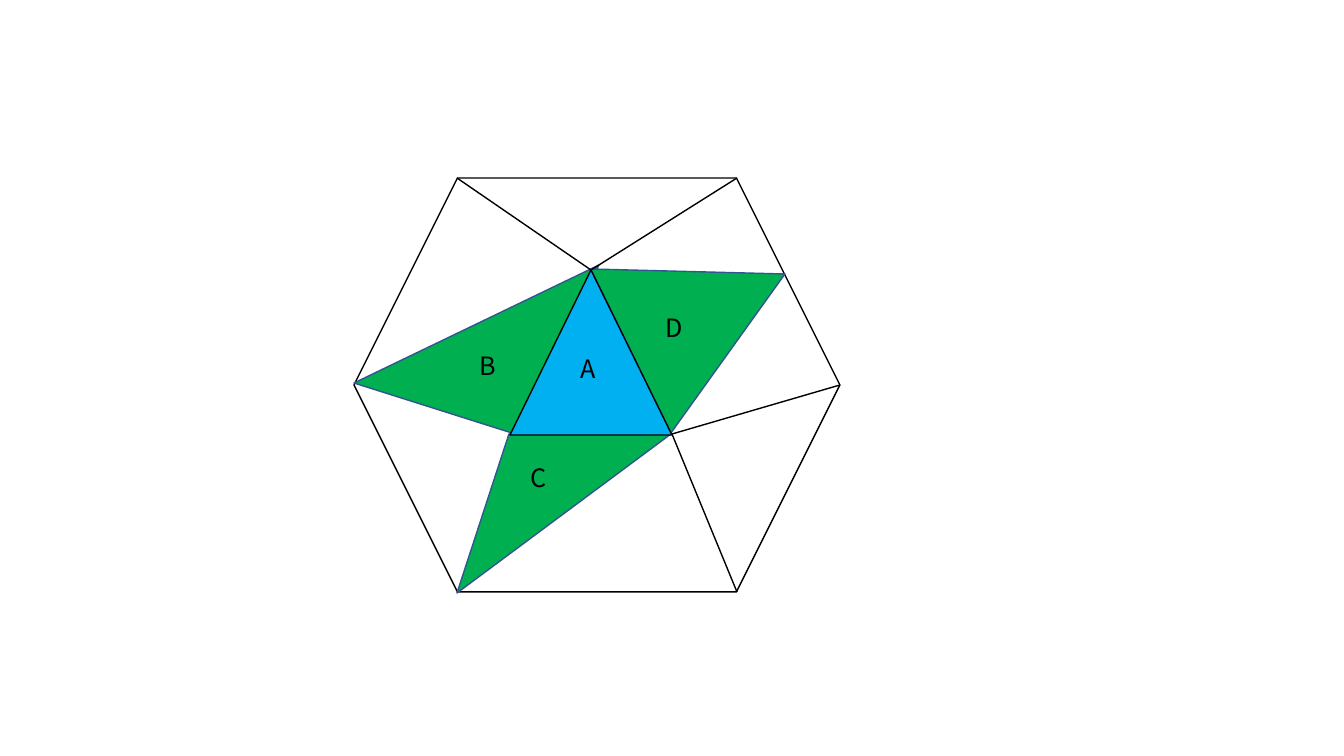
from lxml import etree
from pptx import Presentation
from pptx import util as u
from pptx.dml.color import RGBColor
from pptx.enum import shapes, text
from pptx.oxml.ns import qn

PX = u.Inches(1) / 100.8
BLACK = RGBColor(0x00, 0x00, 0x00)
WHITE = RGBColor(0xFF, 0xFF, 0xFF)
GREEN = RGBColor(0x00, 0xB0, 0x50)
BLUE = RGBColor(0x00, 0xB0, 0xF0)
NAVY = RGBColor(0x32, 0x54, 0x91)


def emu(*lengths):
    """Turn px lengths into EMU."""
    return [u.Emu(round(length * PX)) for length in lengths]


def paint(shape, fill, line):
    shape.shadow.inherit = False
    shape.fill.solid()
    shape.fill.fore_color.rgb = fill
    shape.line.color.rgb = line
    shape.line.width = u.Pt(1)


presentation = Presentation()
presentation.slide_width, presentation.slide_height = emu(1344, 756)
slide = presentation.slides.add_slide(presentation.slide_layouts[6])

hexagon = slide.shapes.add_shape(
    shapes.MSO_SHAPE.HEXAGON, *emu(354, 178, 486, 414))
paint(hexagon, WHITE, BLACK)

green_triangles = [
    [(509, 434), (671, 434), (457, 593)],
    [(599, 265), (512, 433), (354, 383)],
    [(591, 269), (785, 274), (671, 433)],
]
for start, *corners in green_triangles:
    builder = slide.shapes.build_freeform(*start, scale=PX)
    builder.add_line_segments(corners, close=True)
    paint(builder.convert_to_shape(), GREEN, NAVY)

# Spokes from the corners of the blue triangle to the corners of the hexagon
spokes = {
    (591, 270): [(457, 178), (737, 178)],
    (672, 434): [(737, 592), (840, 385)],
}
for inner, outer_corners in spokes.items():
    for outer in outer_corners:
        spoke = slide.shapes.add_connector(
            shapes.MSO_CONNECTOR.STRAIGHT, *emu(*inner, *outer))
        spoke.line.color.rgb = BLACK
        spoke.line.width = u.Pt(1)
        etree.SubElement(spoke.element.spPr, qn("a:effectLst"))

blue_triangle = slide.shapes.add_shape(
    shapes.MSO_SHAPE.ISOSCELES_TRIANGLE, *emu(510, 270, 162, 165))
paint(blue_triangle, BLUE, BLACK)

label_font = {"name": "Noto Sans CJK SC", "size": u.Pt(18)}
labels = [
    ("A", 571, 348, 36),
    ("B", 470, 345, 34),
    ("C", 521, 457, 36),
    ("D", 656, 307, 38),
]
for letter, left, top, width in labels:
    label = slide.shapes.add_textbox(*emu(left, top, width, 40))
    frame = label.text_frame
    frame.word_wrap = False
    frame.auto_size = text.MSO_AUTO_SIZE.SHAPE_TO_FIT_TEXT
    run = frame.paragraphs[0].add_run()
    run.text = letter
    for attribute, value in label_font.items():
        setattr(run.font, attribute, value)
    run.font.color.rgb = BLACK

presentation.save("out.pptx")
